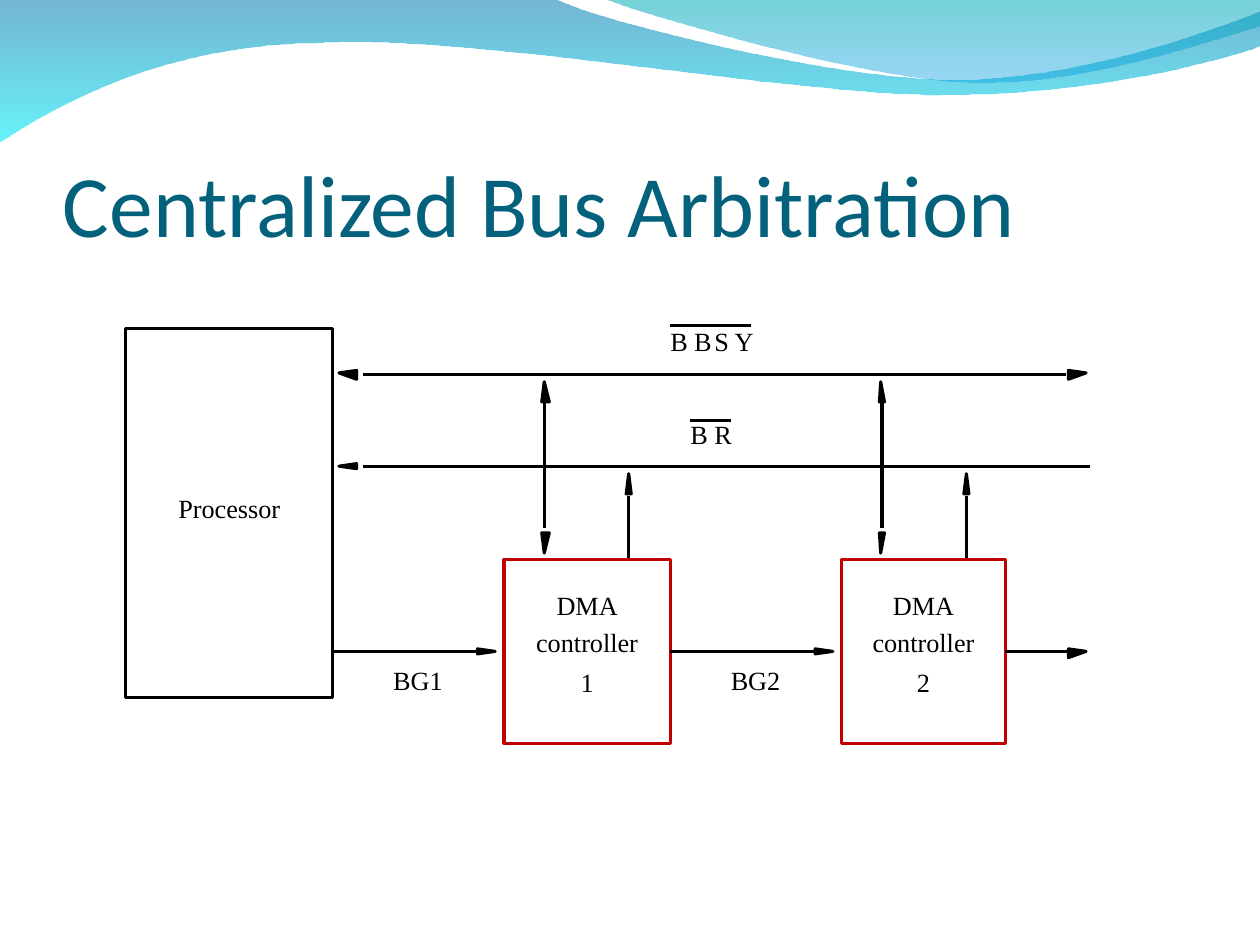
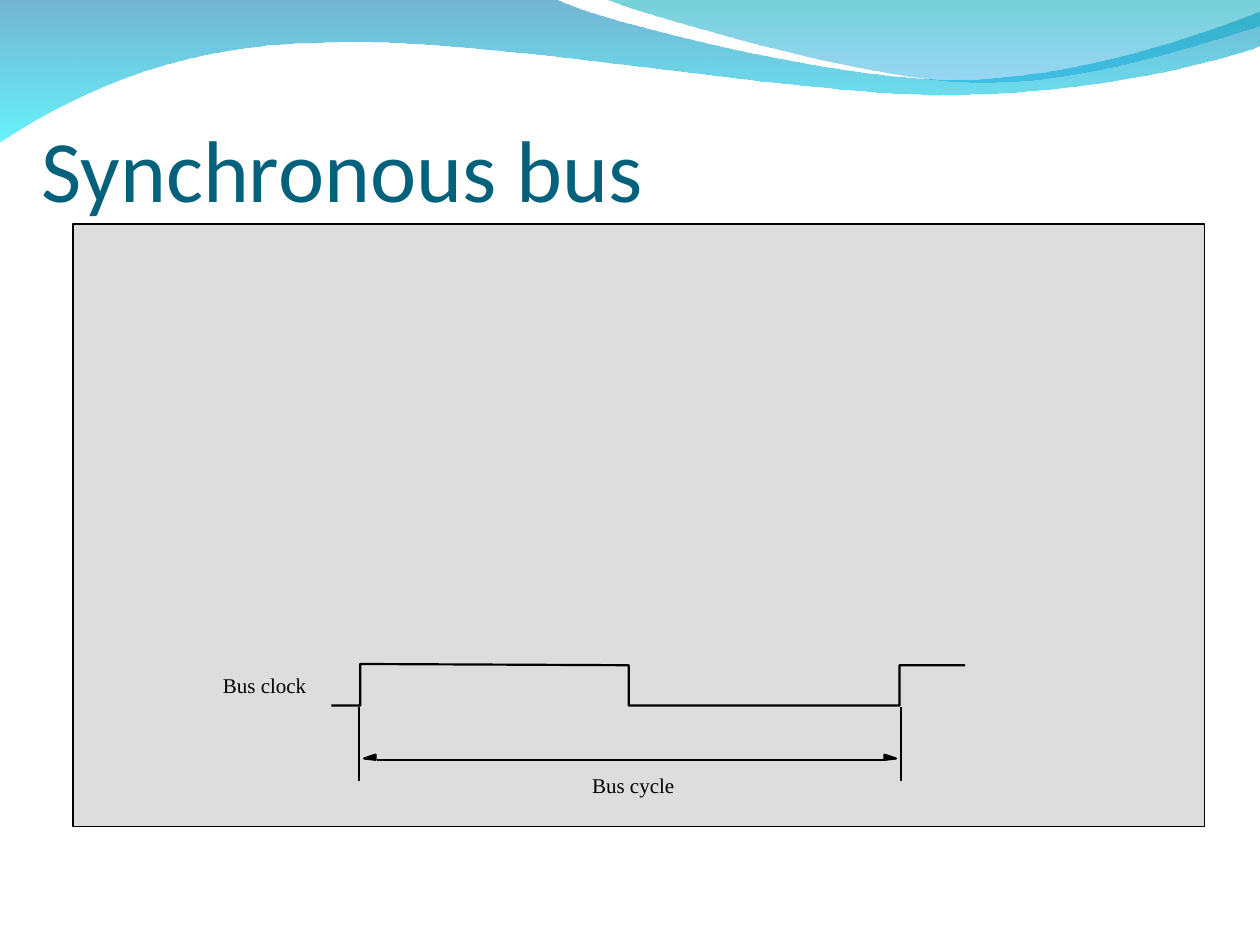
from dataclasses import dataclass

from lxml import etree
from pptx import Presentation
from pptx import util as u
from pptx.dml.color import RGBColor
from pptx.enum import shapes, text
from pptx.oxml import ns

PX = u.Inches(1) // 100  # one px is a hundredth of an inch


@dataclass(frozen=True)
class Theme:
    title: str = "04617B"
    ink: str = "000000"
    red: str = "C00000"
    panel: str = "DDDDDD"
    head: str = "Calibri"
    body: str = "Times New Roman"
    big: int = 50
    mid: int = 15
    small: int = 12
    thick: float = 1.75
    wave: float = 1.25
    thin: float = 1
    fine: float = 0.75


T = Theme()

# Each wave: start point, then lines (x, y) or curves (six numbers);
# gradient stops are (colour, opacity in percent)
WAVES = [
    ([(0, -1), (440, -1), (476, 17, 664, 63, 758, 63), (853, 63, 958, 26, 1000, 9),
      (1001, 36), (983, 44, 870, 76, 746, 75), (622, 75, 382, 28, 257, 34),
      (129, 35, 46, 83, -1, 113)],
     [("0079AF", 55), ("00EBF8", 60)]),
    ([(479, -1), (509, 11, 682, 62, 769, 65), (856, 69, 961, 32, 1000, 21), (1000, 0)],
     [("00ADB6", 55), ("009BE5", 40)]),
]


def rgb(code):
    return RGBColor.from_string(code)


def sub(parent, tag, **attrs):
    return etree.SubElement(parent, ns.qn(tag), attrs)


# Basic parts
def write(frame, lines, size, font=T.body, color=T.ink, align=None, gaps=()):
    for i, words in enumerate(lines):
        para = frame.paragraphs[0] if i == 0 else frame.add_paragraph()
        para.text = words
        if i and gaps:
            para.space_before = u.Pt(gaps[i - 1])
        para.alignment = align
        para.font.size = u.Pt(size)
        para.font.name = font
        para.font.color.rgb = rgb(color)


def inset(frame, top=0, bottom=0):
    frame.margin_left = frame.margin_right = 0
    frame.margin_top, frame.margin_bottom = top * PX, bottom * PX


def label(slide, words, x, y, w, h, size):
    box = slide.shapes.add_textbox(x * PX, y * PX, w * PX, h * PX)
    inset(box.text_frame)
    box.text_frame.word_wrap = True
    write(box.text_frame, [words], size)


def ink(shape, weight, edge=T.ink, fill=None):
    shape.line.color.rgb = rgb(edge)
    shape.line.width = u.Pt(weight)
    if fill:
        shape.fill.solid()
        shape.fill.fore_color.rgb = rgb(fill)
    else:
        shape.fill.background()


def rect(slide, x, y, w, h, edge, weight, fill=None):
    box = slide.shapes.add_shape(shapes.MSO_SHAPE.RECTANGLE,
                                 x * PX, y * PX, w * PX, h * PX)
    box.shadow.inherit = False
    ink(box, weight, edge, fill)
    return box


def line(slide, x1, y1, x2, y2, weight=T.thick):
    link = slide.shapes.add_connector(shapes.MSO_CONNECTOR.STRAIGHT,
                                      x1 * PX, y1 * PX, x2 * PX, y2 * PX)
    link.line.color.rgb = rgb(T.ink)
    link.line.width = u.Pt(weight)
    sub(link._element.spPr, "a:effectLst")
    return link


def outline(slide, points, close):
    maker = slide.shapes.build_freeform(*points[0], scale=PX)
    maker.add_line_segments(points[1:], close=close)
    shape = maker.convert_to_shape()
    shape.shadow.inherit = False
    return shape


def head(slide, x, y, w, h, tip, way, weight=T.thick):
    """Slim arrowhead; tip is the offset of its point across the box."""
    if way in "LR":
        points = [(0, h), (w, tip), (0, 0), (0, tip), (0, h)]
    else:
        points = [(0, 0), (tip, h), (w, 0), (tip, 0), (0, 0)]
    if way == "L":
        points = [(w - a, b) for a, b in points]
    if way == "U":
        points = [(a, h - b) for a, b in points]
    points = [(x + a, y + b) for a, b in points]
    ink(outline(slide, points, False), weight)
    ink(outline(slide, points, True), T.fine, fill=T.ink)


# Shared wave bands and title
def curve(shape, steps):
    """Turn each three line steps of a six-number step into one curve."""
    lines = iter(list(shape._element.spPr.iter(ns.qn("a:lnTo"))))
    for step in steps[1:]:
        first = next(lines)
        if len(step) == 6:
            first.tag = ns.qn("a:cubicBezTo")
            for other in (next(lines), next(lines)):
                first.append(other[0])
                other.getparent().remove(other)


def waves(slide):
    for steps, stops in WAVES:
        points = [step[i:i + 2] for step in steps for i in range(0, len(step), 2)]
        band = outline(slide, points, True)
        curve(band, steps)
        band.line.fill.background()
        band.fill.gradient()
        band.fill.gradient_angle = 270
        for i, (stop, (color, solid)) in enumerate(zip(band.fill.gradient_stops, stops)):
            stop.color.rgb = rgb(color)
            stop.position = i
        tones = band._element.spPr.iter(ns.qn("a:srgbClr"))
        for tone, (color, solid) in zip(tones, stops):
            sub(tone, "a:alpha", val=str(solid * 1000))


def page(deck, title, x, y):
    slide = deck.slides.add_slide(deck.slide_layouts[6])
    waves(slide)
    box = slide.shapes.add_textbox(x * PX, y * PX, 900 * PX, 125 * PX)
    frame = box.text_frame
    inset(frame, top=5)
    frame.word_wrap = True
    frame.vertical_anchor = text.MSO_ANCHOR.BOTTOM
    write(frame, [title], T.big, T.head, T.title)
    return slide


# Bus arbitration diagram
def signal(slide, name, x, y, w, places, rise):
    for letter, place in zip(name, places):
        label(slide, letter, x + place, y, 18, 25, T.mid)
    line(slide, x, y + rise, x + w, y + rise)


def control(slide, number, x, y, w, h, wide):
    box = rect(slide, x, y, w, h, T.red, T.thick)
    frame = box.text_frame
    inset(frame, top=24)
    frame.vertical_anchor = text.MSO_ANCHOR.TOP
    write(frame, ["DMA", "controller", str(number)], T.mid,
          align=text.PP_ALIGN.CENTER, gaps=(3, 5))

    # Busy link both ways, request link upward
    line(slide, x + 32, y - 124, x + 32, y - 25)
    for top, way in ((y - 141, "U"), (y - 21, "D")):
        head(slide, x + 30, top, wide, 16, wide // 3, way)
    line(slide, x + 99, y - 50, x + 99, y - 1)
    head(slide, x + 97, y - 68, 4, 16, 2, "U")
    label(slide, f"BG{number}", x - 88, y + 83, 50, 25, T.mid)
    return box


def diagram(slide, x, y):
    cpu = rect(slide, x, y, 164, 293, T.ink, T.thick)
    inset(cpu.text_frame, bottom=8)
    cpu.text_frame.vertical_anchor = text.MSO_ANCHOR.MIDDLE
    write(cpu.text_frame, ["Processor"], T.mid, align=text.PP_ALIGN.CENTER)

    # Shared bus lines
    line(slide, x + 188, y + 36, x + 746, y + 36)
    head(slide, x + 169, y + 33, 14, 7, 2, "L")
    head(slide, x + 748, y + 33, 14, 7, 2, "R")
    line(slide, x + 188, y + 109, x + 765, y + 109)
    head(slide, x + 169, y + 107, 14, 4, 2, "L")
    signal(slide, "BBSY", x + 432, y - 3, 64, (0, 19, 35, 51), 0)
    signal(slide, "BR", x + 448, y + 71, 32, (0, 19), 2)

    # Controllers and the grant chain
    boxes = [control(slide, i + 1, x + 300 + 268 * i, y + 183, w, 146, wide)
             for i, (w, wide) in enumerate(((132, 6), (130, 4)))]
    level = y + 256
    for i, (stop, tall) in enumerate(((279, 4), (547, 4), (748, 7))):
        grant = line(slide, x + 164, level, x + stop, level)
        if i:
            grant.begin_connect(boxes[i - 1], 3)
        head(slide, x + stop, level - 2, 14, tall, 2, "R")


# Clock timing panel
def timing(slide, x, y, w, h):
    rect(slide, x, y, w, h, T.ink, T.thin, T.panel)
    label(slide, "Bus clock", x + 119, y + 356, 80, 20, T.small)
    low, high = y + 382, y + 350
    rise, fall, again = x + 228, x + 441, x + 656
    clock = outline(slide, [(x + 708, high), (again, high), (again, low), (fall, low),
                            (fall, high), (rise, high - 1), (rise, low),
                            (x + 205, low)], False)
    ink(clock, T.wave)

    # Cycle measure
    for side in (x + 227, x + 657):
        line(slide, side, low + 1, side, low + 60, T.thin)
    line(slide, x + 241, y + 425, x + 644, y + 425, T.wave)
    for left, way in ((x + 231, "L"), (x + 644, "R")):
        head(slide, left, y + 421, 9, 4, 3, way, T.wave)
    label(slide, "Bus cycle", x + 412, y + 435, 80, 20, T.small)


def main():
    deck = Presentation()
    deck.slide_width, deck.slide_height = 1000 * PX, 750 * PX
    diagram(page(deck, "Centralized Bus Arbitration", 50, 77), 100, 261)
    timing(page(deck, "Synchronous bus", 33, 50), 58, 178, 898, 478)
    deck.save("out.pptx")


if __name__ == "__main__":
    main()
